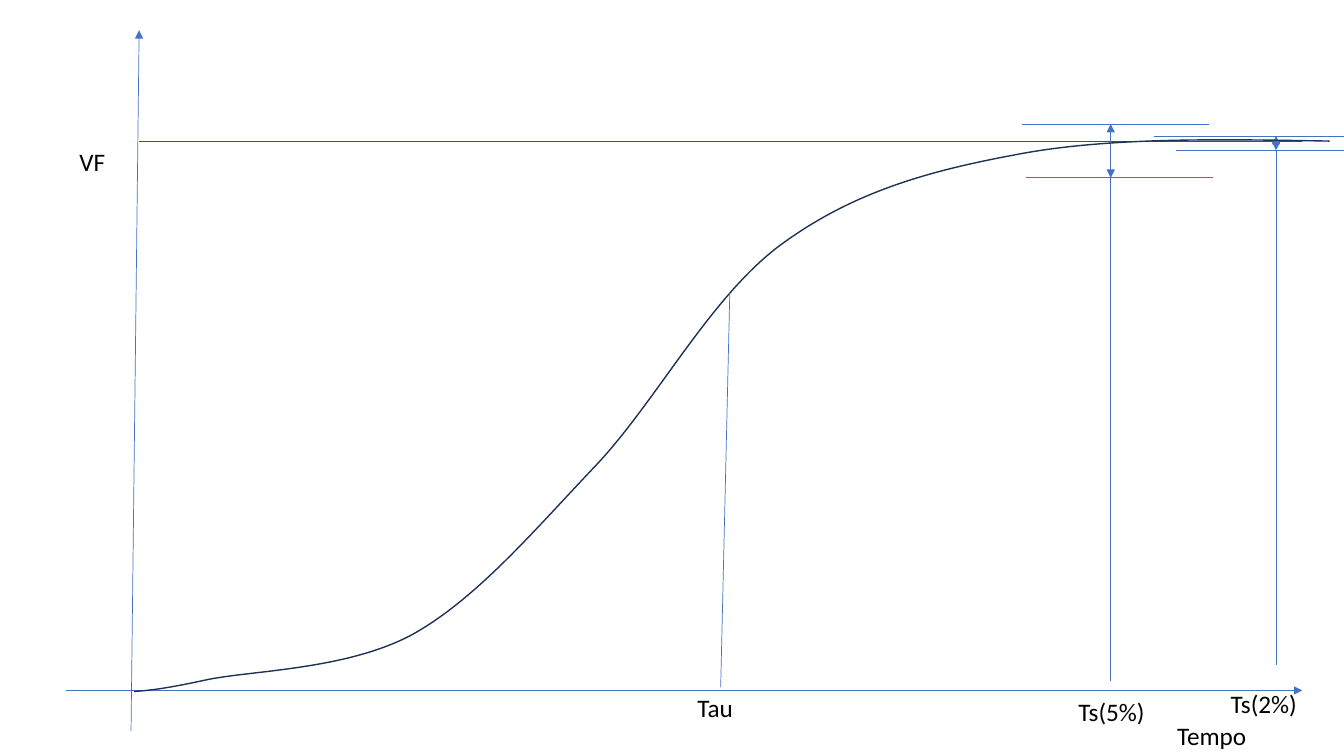
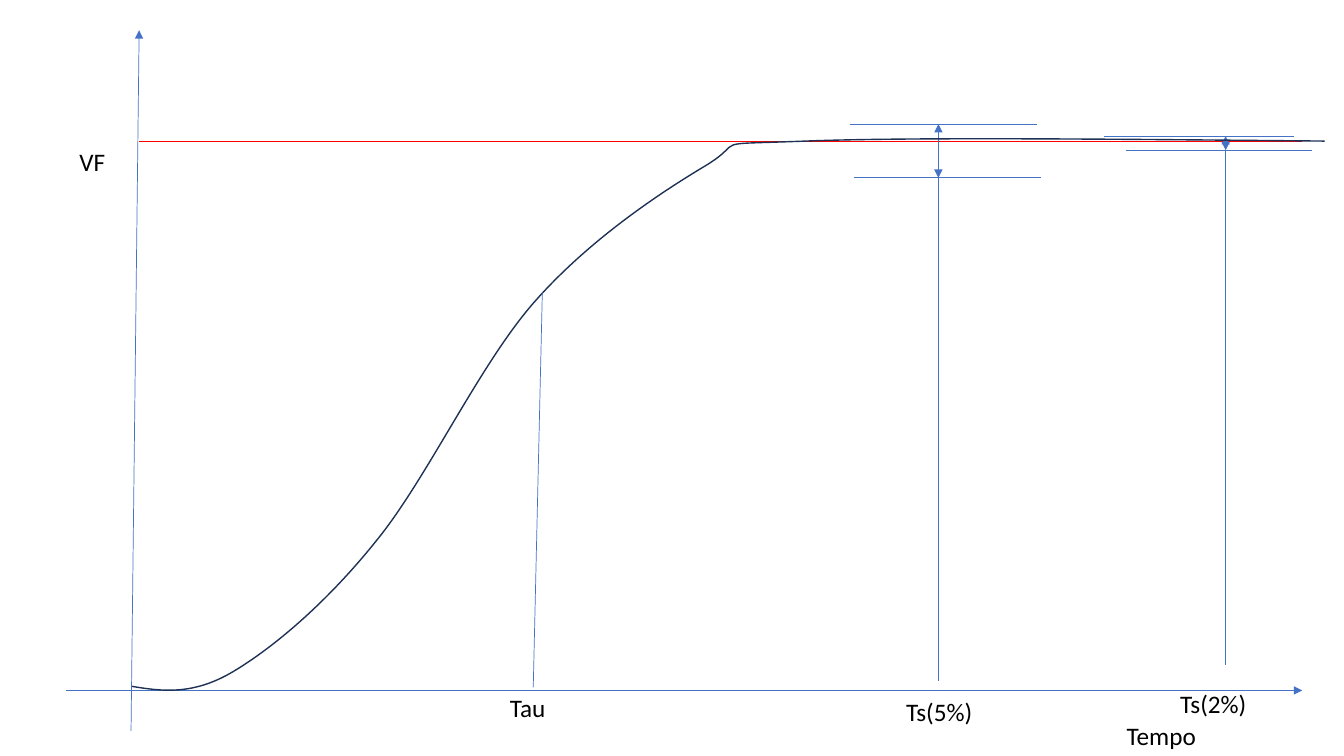
from dataclasses import dataclass
from itertools import chain

from lxml.etree import SubElement
from pptx import Presentation
from pptx.dml.color import RGBColor
from pptx.enum.shapes import MSO_CONNECTOR
from pptx.enum.text import MSO_AUTO_SIZE
from pptx.oxml.ns import qn
from pptx.slide import Slide
from pptx.util import Pt

Point = tuple[float, float]
Segment = tuple[Point, Point, Point]


@dataclass(frozen=True)
class Theme:
    line: RGBColor = RGBColor(0x44, 0x72, 0xC4)
    final_value: RGBColor = RGBColor(0xFF, 0x00, 0x00)
    curve: RGBColor = RGBColor(0x1E, 0x32, 0x56)
    text: RGBColor = RGBColor(0x00, 0x00, 0x00)
    background: RGBColor = RGBColor(0xFF, 0xFF, 0xFF)
    font: str = "Calibri"
    text_size: float = 18
    thin: float = 0.5
    curve_width: float = 1


THEME = Theme()
LABEL_FORMAT = {"name": THEME.font, "size": Pt(THEME.text_size)}
LABEL_HEIGHT = 28.8
AXIS_Y = 493.2
AXIS_END = 930.2
AXIS_TOP: Point = (99.4, 21.6)
FINAL_VALUE_Y = 100.8


@dataclass(frozen=True)
class Band:
    """Tolerance band; left edges are offsets from its settling time."""
    text: str
    top: float
    bottom: float
    foot: float
    upper_left: float
    upper_width: float
    lower_left: float
    lower_width: float
    label_left: float
    label_top: float


@dataclass(frozen=True)
class Response:
    tau: float
    settling_5: float
    settling_2: float
    start: Point
    segments: tuple[Segment, ...]


BAND_5 = Band("Ts(5%)", 88.6, 127, 486.7, -63.4, 133.9, -60.5, 133.9, -30.2, 493.9)
BAND_2 = Band("Ts(2%)", 97.2, 107.3, 475.2, -87.1, 136.1, -71.3, 133.2, -39.6, 488.2)

RESPONSES = (
    Response(514.8, 793.4, 911.5, (95.8, 493.9), (
        ((105.8, 493.2), (115.9, 492.5), (149, 485.3)),
        ((182.2, 478.8), (249.1, 478.1), (295.2, 452.9)),
        ((341.3, 427), (382.3, 378), (426.2, 331.9)),
        ((469.4, 285.8), (506.9, 213.1), (556.6, 175.7)),
        ((606.2, 139), (658.1, 123.1), (723.6, 110.9)),
        ((789.1, 97.9), (869, 99.4), (949.7, 100.8)),
    )),
    Response(380.9, 670.3, 875.5, (94.3, 490.3), (
        ((115.9, 493.9), (138.2, 496.8), (167, 479.5)),
        ((195.8, 462.2), (233.3, 430.6), (268.6, 386.6)),
        ((304.6, 342.7), (342, 261.4), (380.9, 216.7)),
        ((419.8, 172.1), (470.9, 138.2), (503.3, 118.8)),
        ((535.7, 99.4), (501.1, 103.7), (575.3, 100.8)),
        ((649.4, 97.9), (797.8, 99.4), (946.1, 100.8)),
    )),
)


def add_line(page: Slide, start: Point, end: Point, color: RGBColor = THEME.line,
             arrows: tuple[str, ...] = ()) -> None:
    """Draw a thin line; arrows names the ends (headEnd, tailEnd) that get one."""
    connector = page.shapes.add_connector(
        MSO_CONNECTOR.STRAIGHT, *(Pt(value) for value in (*start, *end)))
    connector.line.color.rgb = color
    connector.line.width = Pt(THEME.thin)
    properties = connector.element.spPr
    outline = properties.find(qn("a:ln"))
    for arrow in arrows:
        SubElement(outline, qn(f"a:{arrow}"), type="triangle")
    SubElement(properties, qn("a:effectLst"))


def add_label(page: Slide, text: str, left: float, top: float, width: float) -> None:
    box = page.shapes.add_textbox(Pt(left), Pt(top), Pt(width), Pt(LABEL_HEIGHT))
    box.text_frame.word_wrap = True
    box.text_frame.auto_size = MSO_AUTO_SIZE.SHAPE_TO_FIT_TEXT
    span = box.text_frame.paragraphs[0].add_run()
    span.text = text
    for name, value in LABEL_FORMAT.items():
        setattr(span.font, name, value)
    span.font.color.rgb = THEME.text


def add_curve(page: Slide, start: Point, segments: tuple[Segment, ...]) -> None:
    """Draw a smooth outline by joining every three vertices into one Bézier arc."""
    builder = page.shapes.build_freeform(Pt(start[0]), Pt(start[1]))
    builder.add_line_segments(
        [(Pt(x), Pt(y)) for x, y in chain.from_iterable(segments)], close=False)
    curve = builder.convert_to_shape()
    curve.shadow.inherit = False
    curve.fill.background()
    curve.line.color.rgb = THEME.curve
    curve.line.width = Pt(THEME.curve_width)
    outline = next(curve.element.iter(qn("a:path")))
    steps = outline.findall(qn("a:lnTo"))
    for first in range(0, len(steps), 3):
        arc = SubElement(outline, qn("a:cubicBezTo"))
        for step in steps[first:first + 3]:
            arc.append(step[0])
            outline.remove(step)


def add_band(page: Slide, band: Band, x: float) -> None:
    for left, width, y in ((band.upper_left, band.upper_width, band.top),
                           (band.lower_left, band.lower_width, band.bottom)):
        add_line(page, (x + left, y), (x + left + width, y))
    add_line(page, (x, band.top), (x, band.bottom), arrows=("headEnd", "tailEnd"))
    add_line(page, (x, band.bottom), (x, band.foot))
    add_label(page, band.text, x + band.label_left, band.label_top, 69.8)


def add_axes(page: Slide) -> None:
    add_line(page, (47.5, AXIS_Y), (AXIS_END, AXIS_Y), arrows=("tailEnd",))
    add_line(page, (93.6, 522), AXIS_TOP, arrows=("tailEnd",))
    add_line(page, (AXIS_TOP[0], FINAL_VALUE_Y), (AXIS_END, FINAL_VALUE_Y),
             THEME.final_value)
    add_label(page, "VF", 49.7, FINAL_VALUE_Y, 47.5)


def add_response(page: Slide, response: Response) -> None:
    add_axes(page)
    add_label(page, "Tempo", response.settling_2 - 77.8, 511.2, 93.6)
    add_band(page, BAND_5, response.settling_5)
    add_band(page, BAND_2, response.settling_2)
    add_label(page, "Tau", response.tau - 23.8, 491, 47.5)
    add_curve(page, response.start, response.segments)
    add_line(page, (response.tau, 491), (response.tau + 6.5, 208.8))


def main() -> None:
    deck = Presentation()
    deck.slide_width, deck.slide_height = Pt(960), Pt(540)
    for response in RESPONSES:
        page = deck.slides.add_slide(deck.slide_layouts[6])
        page.background.fill.solid()
        page.background.fill.fore_color.rgb = THEME.background
        add_response(page, response)
    deck.save("out.pptx")


if __name__ == "__main__":
    main()
